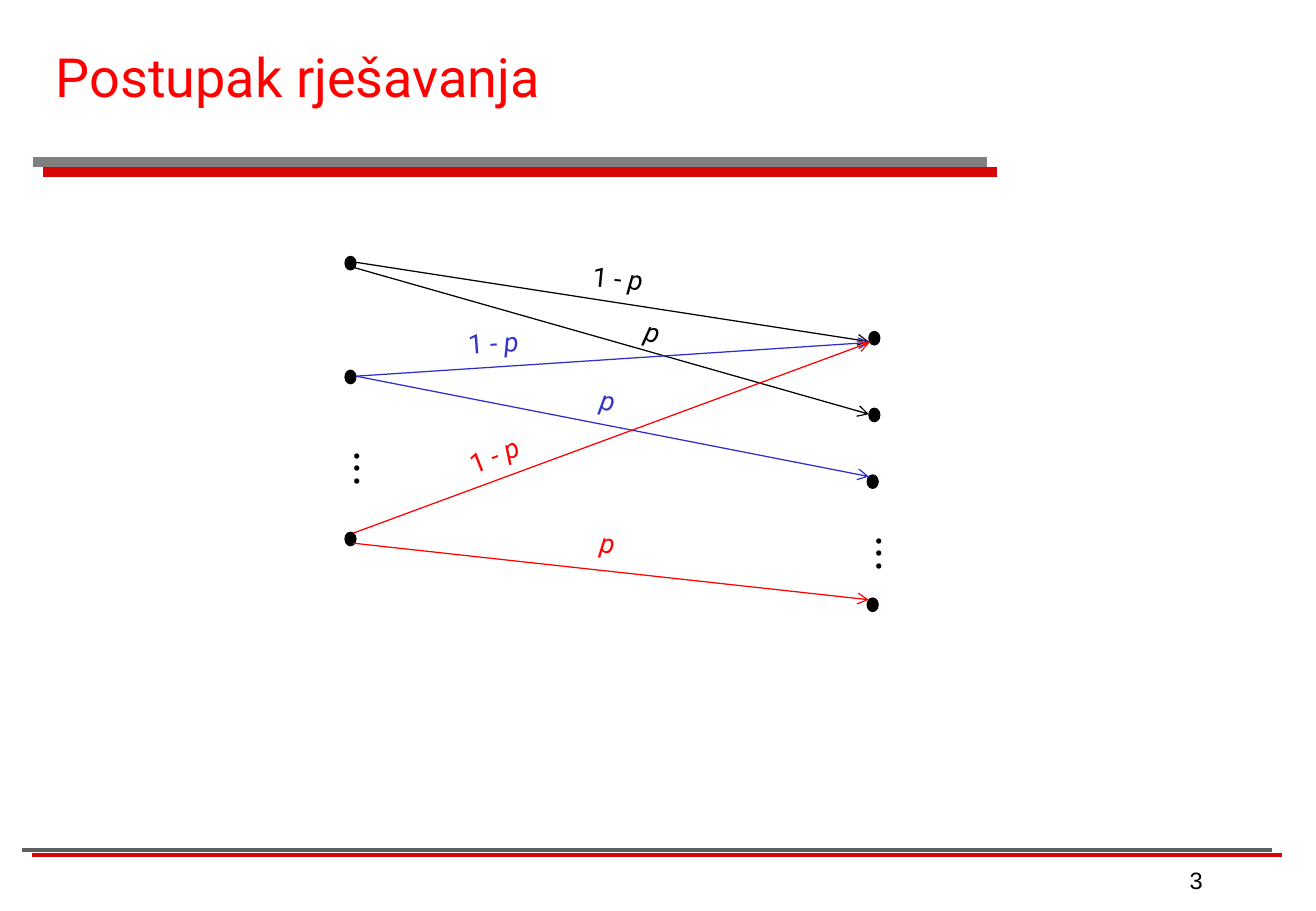
import pptx
import pptx.util
from pptx.dml.color import RGBColor
from pptx.enum.shapes import MSO_CONNECTOR, MSO_SHAPE
from pptx.enum.text import MSO_ANCHOR, MSO_AUTO_SIZE, PP_ALIGN
from pptx.oxml.ns import qn
from lxml import etree

Pt = pptx.util.Pt
COLORS = {
    "black": "000000",
    "red": "FF0000",
    "blue line": "2E2ECB",
    "blue text": "3333CC",
    "title rule": "808080",
    "footer rule": "5F5F5F",
    "rule shadow": "D70505",
}

presentation = pptx.Presentation()
presentation.slide_width = Pt(780)
presentation.slide_height = Pt(540)
slide = presentation.slides.add_slide(presentation.slide_layouts[6])


def add_line(start, end, color, width, arrow=False):
    connector = slide.shapes.add_connector(
        MSO_CONNECTOR.STRAIGHT, *[Pt(value) for value in (*start, *end)])
    connector.line.color.rgb = RGBColor.from_string(COLORS[color])
    connector.line.width = Pt(width)
    properties = connector._element.spPr
    if arrow:
        line = properties.find(qn("a:ln"))
        etree.SubElement(line, qn("a:tailEnd"), type="arrow")
    etree.SubElement(properties, qn("a:effectLst"))


def add_text(runs, box, size, color, align, font="Roboto", rotation=0):
    """Add a one-line text box; the run "p" is set in italics."""
    shape = slide.shapes.add_textbox(*[Pt(value) for value in box])
    shape.rotation = rotation
    paragraph = shape.text_frame.paragraphs[0]
    paragraph.alignment = align
    paragraph.font.name = font
    paragraph.font.size = Pt(size)
    paragraph.font.color.rgb = RGBColor.from_string(COLORS[color])
    for text in runs:
        run = paragraph.add_run()
        run.text = text
        if text == "p":
            run.font.italic = True
    return shape


# Rules under the title and above the page number: left, right, y, colour,
# width and shadow offset
for left, right, y, color, width, dx, dy in [
    (19.6, 585, 96, "title rule", 6, 6, 6),
    (13, 754, 504, "footer rule", 2.25, 6, 3),
]:
    add_line((left + dx, y + dy), (right + dx, y + dy), "rule shadow", width)
    add_line((left, y), (right, y), color, width)

title = add_text(["Postupak rješavanja"], (26, 0, 663, 90), 32, "red", PP_ALIGN.LEFT)
title.text_frame.word_wrap = True
title.text_frame.vertical_anchor = MSO_ANCHOR.MIDDLE
add_text(["3"], (654.5, 509.5, 65.5, 18), 14, "black", PP_ALIGN.RIGHT, font="Arial")

# States on the left and on the right
for left, top in [
    (204.5, 152), (204.5, 219.5), (204.5, 315.5),
    (515, 196.5), (515, 242), (514, 281.5), (514, 354.5),
]:
    state = slide.shapes.add_shape(
        MSO_SHAPE.OVAL, Pt(left), Pt(top), Pt(6.5), Pt(8))
    state.shadow.inherit = False
    state.fill.solid()
    state.fill.fore_color.rgb = RGBColor.from_string(COLORS["black"])
    state.line.color.rgb = RGBColor.from_string(COLORS["black"])
    state.line.width = Pt(0.75)

# Transitions
for start, end, color in [
    ((211, 155.5), (515, 202.5), "black"),
    ((209.5, 158.5), (515, 245.5), "black"),
    ((211, 223), (515, 282.5), "blue line"),
    ((211, 223), (515.5, 203), "blue line"),
    ((209.5, 316), (515.5, 203), "red"),
    ((209.5, 322), (515, 355.5), "red"),
]:
    add_line(start, end, color, 0.75, arrow=True)

# Transition probabilities, turned along their arrows, and upright ellipses
stay, move, dots = ["1 - ", "p"], ["p"], ["..."]
for runs, left, top, color, rotation in [
    (stay, 329, 155.5, "black", 5.7),
    (move, 374.5, 187, "black", 14.2),
    (stay, 255.5, 193.5, "blue text", 355.7),
    (move, 348, 227.5, "blue text", 10.3),
    (stay, 256.5, 260, "red", 338.6),
    (move, 348, 312, "red", 7.2),
    (dots, 186, 260.5, "black", 270),
    (dots, 495.5, 311, "black", 270),
]:
    width, height, size = {"1 - ": (74, 23, 16), "p": (24, 23, 16),
                           "...": (38, 34.5, 28)}[runs[0]]
    label = add_text(runs, (left, top, width, height), size, color,
                     PP_ALIGN.CENTER, rotation=rotation)
    label.text_frame.paragraphs[0].line_spacing = 0.8
    label.text_frame.word_wrap = runs is stay
    label.text_frame.auto_size = MSO_AUTO_SIZE.SHAPE_TO_FIT_TEXT

presentation.save("out.pptx")
